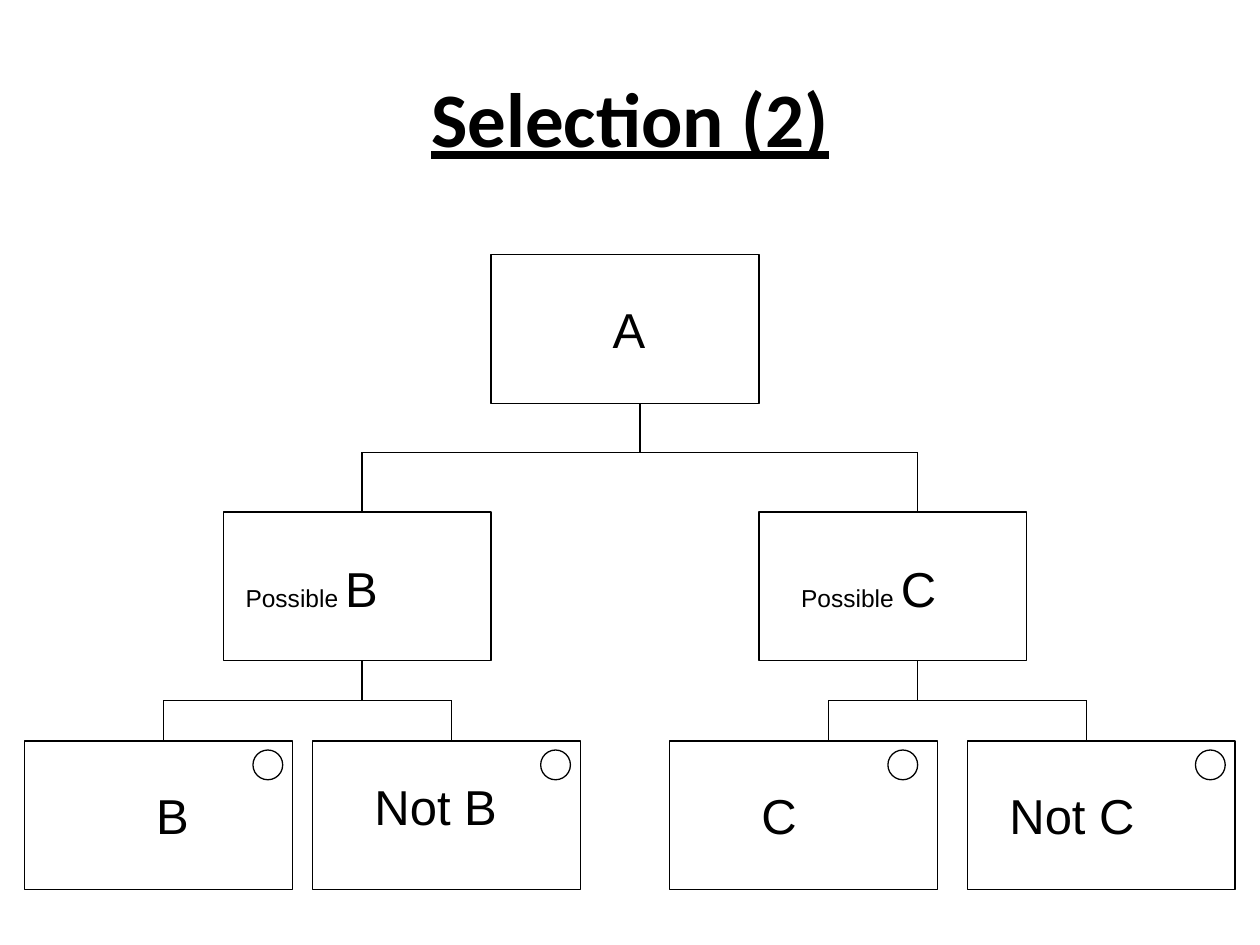
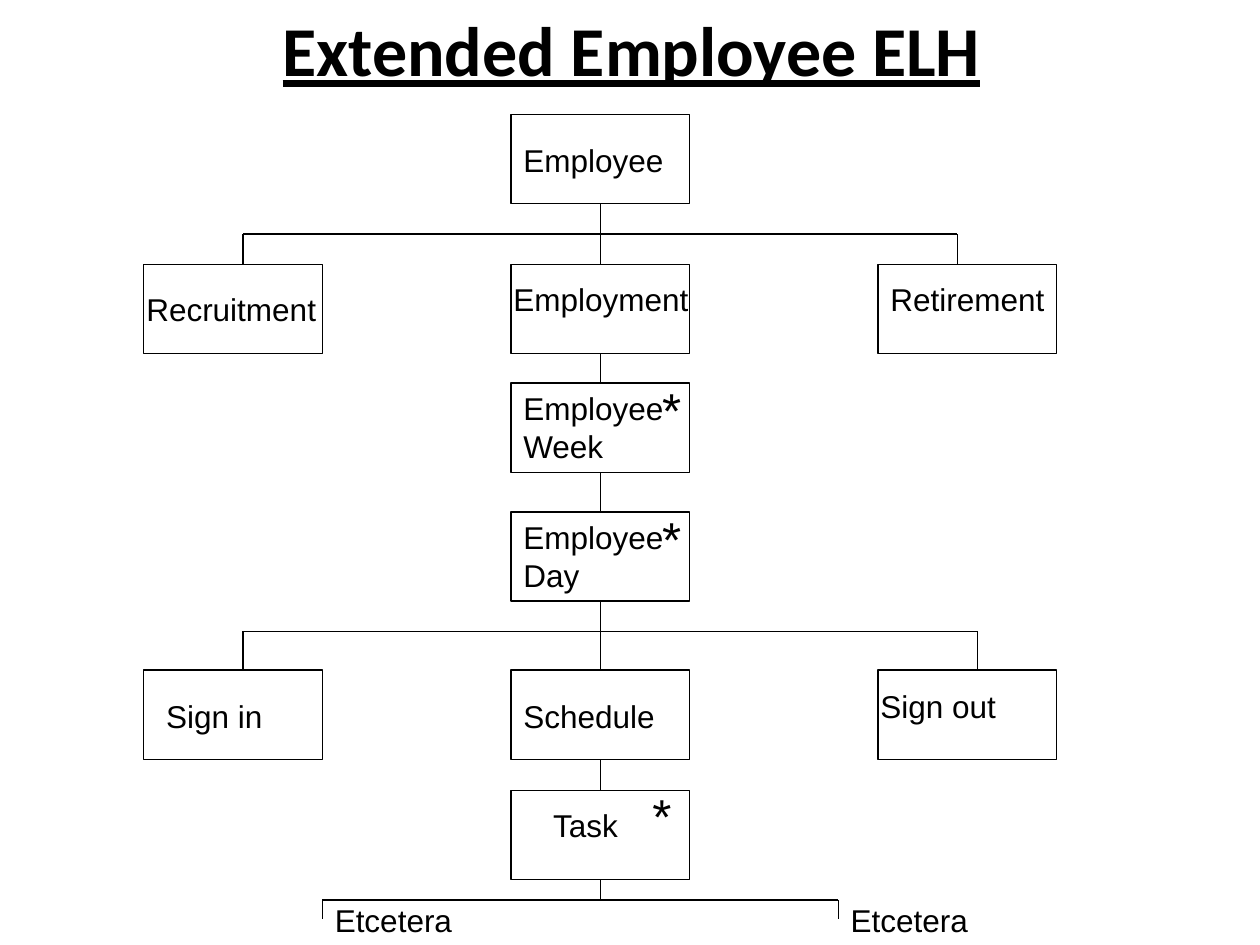
from lxml.etree import SubElement
from pptx import Presentation
from pptx.dml.color import RGBColor
from pptx.enum.shapes import MSO_CONNECTOR, MSO_SHAPE
from pptx.enum.text import MSO_ANCHOR, MSO_AUTO_SIZE, PP_ALIGN
from pptx.oxml.ns import qn
from pptx.util import Cm, Pt

INK = RGBColor.from_string("000000")
LINE_WIDTH = Pt(0.75)
BODY_FONT = "Arial"
TITLE_FONT = "Calibri"


def add_text(slide, left, top, width, height, runs, font=BODY_FONT, heading=False):
    box = slide.shapes.add_textbox(Cm(left), Cm(top), Cm(width), Cm(height))
    frame = box.text_frame
    frame.word_wrap = True
    frame.auto_size = MSO_AUTO_SIZE.NONE if heading else MSO_AUTO_SIZE.SHAPE_TO_FIT_TEXT
    frame.vertical_anchor = MSO_ANCHOR.MIDDLE if heading else MSO_ANCHOR.TOP
    paragraph = frame.paragraphs[0]
    paragraph.alignment = PP_ALIGN.CENTER if heading else PP_ALIGN.LEFT
    for words, size in runs:
        run = paragraph.add_run()
        run.text = words
        run.font.name = font
        run.font.size = Pt(size)
        run.font.bold = heading
        run.font.underline = heading
        run.font.color.rgb = INK


def add_outline(slide, kind, left, top, width, height):
    outline = slide.shapes.add_shape(kind, Cm(left), Cm(top), Cm(width), Cm(height))
    outline.shadow.inherit = False
    outline.fill.background()
    outline.line.color.rgb = INK
    outline.line.width = LINE_WIDTH


deck = Presentation()
deck.slide_width = Cm(25.4)
deck.slide_height = Cm(19.05)
blank = deck.slide_layouts[6]
selection = deck.slides.add_slide(blank)
employee = deck.slides.add_slide(blank)

add_text(selection, 1.27, 0.76, 22.86, 3.18, [("Selection (2)", 44)], TITLE_FONT, True)
add_text(employee, 1.3, 0, 22.86, 1.96, [("Extended Employee ELH", 40)], TITLE_FONT, True)

option_top = 14.94
options = [(0.5, 4.6), (6.3, 4.6), (13.5, 4.4), (19.5, 4.6)]
for left, top in [(9.9, 5.13), (4.5, 10.32), (15.3, 10.32)]:
    add_outline(selection, MSO_SHAPE.RECTANGLE, left, top, 5.4, 3)
for left, circle_offset in options:
    add_outline(selection, MSO_SHAPE.RECTANGLE, left, option_top, 5.4, 3)
    add_outline(selection, MSO_SHAPE.OVAL, left + circle_offset, option_top + 0.18, 0.6, 0.6)

left_column, middle_column, right_column = 2.9, 10.3, 17.7
event_rows = [
    (2.31, [middle_column]),
    (5.33, [left_column, middle_column, right_column]),
    (7.72, [middle_column]),
    (10.32, [middle_column]),
    (13.51, [left_column, middle_column, right_column]),
    (15.93, [middle_column]),
]
for top, columns in event_rows:
    for left in columns:
        add_outline(employee, MSO_SHAPE.RECTANGLE, left, top, 3.6, 1.8)

stem = middle_column + 1.8
branches = [
    (selection, 12.9, 8.13, 9.12, 10.32, [7.3, 18.5]),
    (selection, 7.3, 13.32, 14.12, option_top, [3.3, 9.1]),
    (selection, 18.5, 13.32, 14.12, option_top, [16.7, 21.9]),
    (employee, stem, 4.12, 4.72, 5.33, [4.9, stem, 19.3]),
    (employee, stem, 12.12, 12.73, 13.51, [4.9, stem, 19.7]),
    (employee, stem, 17.73, 18.14, 18.52, [6.5, 16.9]),
]
links = [(employee, stem, top, stem, bottom)
         for top, bottom in [(7.13, 7.72), (9.52, 10.32), (15.31, 15.93)]]
for slide, parent, top, bar, bottom, children in branches:
    links.append((slide, parent, top, parent, bar))
    links.append((slide, children[0], bar, children[-1], bar))
    links += [(slide, child, bar, child, bottom) for child in children]
for slide, *ends in links:
    link = slide.shapes.add_connector(MSO_CONNECTOR.STRAIGHT, *map(Cm, ends))
    link.line.color.rgb = INK
    link.line.width = LINE_WIDTH
    SubElement(link._element.spPr, qn("a:effectLst"))

selection_labels = [
    (12.1, 5.92, 1.2, [("A", 28)]),
    (4.7, 11.13, 5.2, [("Possible ", 14), ("B", 28)]),
    (15.9, 11.13, 4.4, [("Possible ", 14), ("C", 28)]),
    (2.9, 15.72, 2, [("B", 28)]),
    (7.3, 15.52, 3.2, [("Not B", 28)]),
    (15.1, 15.72, 2, [("C", 28)]),
    (20.1, 15.72, 3.7, [("Not C", 28)]),
]
for left, top, width, runs in selection_labels:
    add_text(selection, left, top, width, 1.45, runs)

event_labels = [
    ("Employee", 10.3, 2.72, 3.6, 1.02),
    ("Recruitment", 2.7, 5.72, 4.4, 1.02),
    ("Employment", 10.1, 5.53, 4.6, 1.02),
    ("Retirement", 17.7, 5.53, 4, 1.02),
    ("Employee Week", 10.3, 7.72, 3.6, 1.78),
    ("Employee Day", 10.3, 10.32, 3.6, 1.78),
    ("Sign in", 3.1, 13.92, 3.6, 1.02),
    ("Schedule", 10.3, 13.92, 3.6, 1.02),
    ("Sign out", 17.5, 13.72, 3.6, 1.02),
    ("Task", 10.9, 16.13, 3.6, 1.02),
    ("Etcetera", 6.5, 18.03, 3.6, 1.02),
    ("Etcetera", 16.9, 18.03, 3.6, 1.02),
]
for words, left, top, width, height in event_labels:
    add_text(employee, left, top, width, height, [(words, 18)])
for left, top in [(13.1, 7.52), (13.1, 10.13), (12.9, 15.72)]:
    add_text(employee, left, top, 1.2, 1.45, [("*", 28)])

deck.save("out.pptx")
